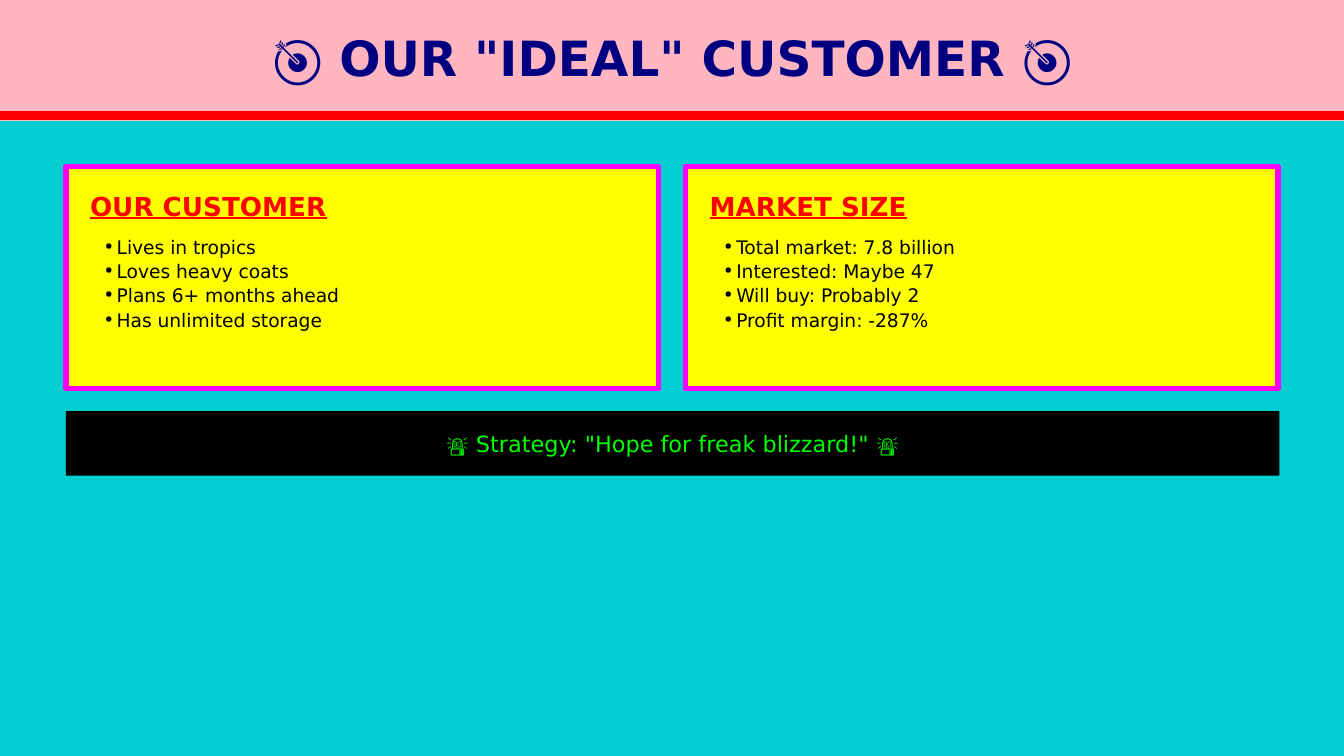
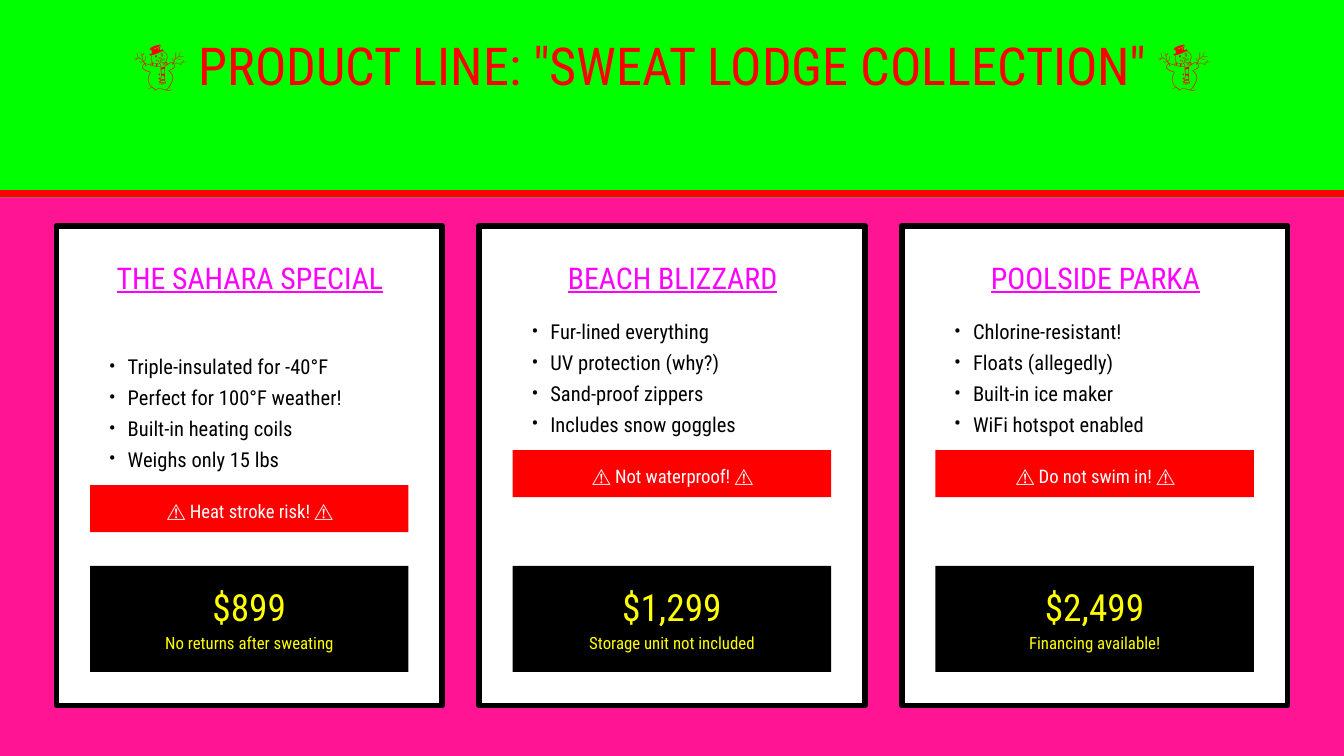
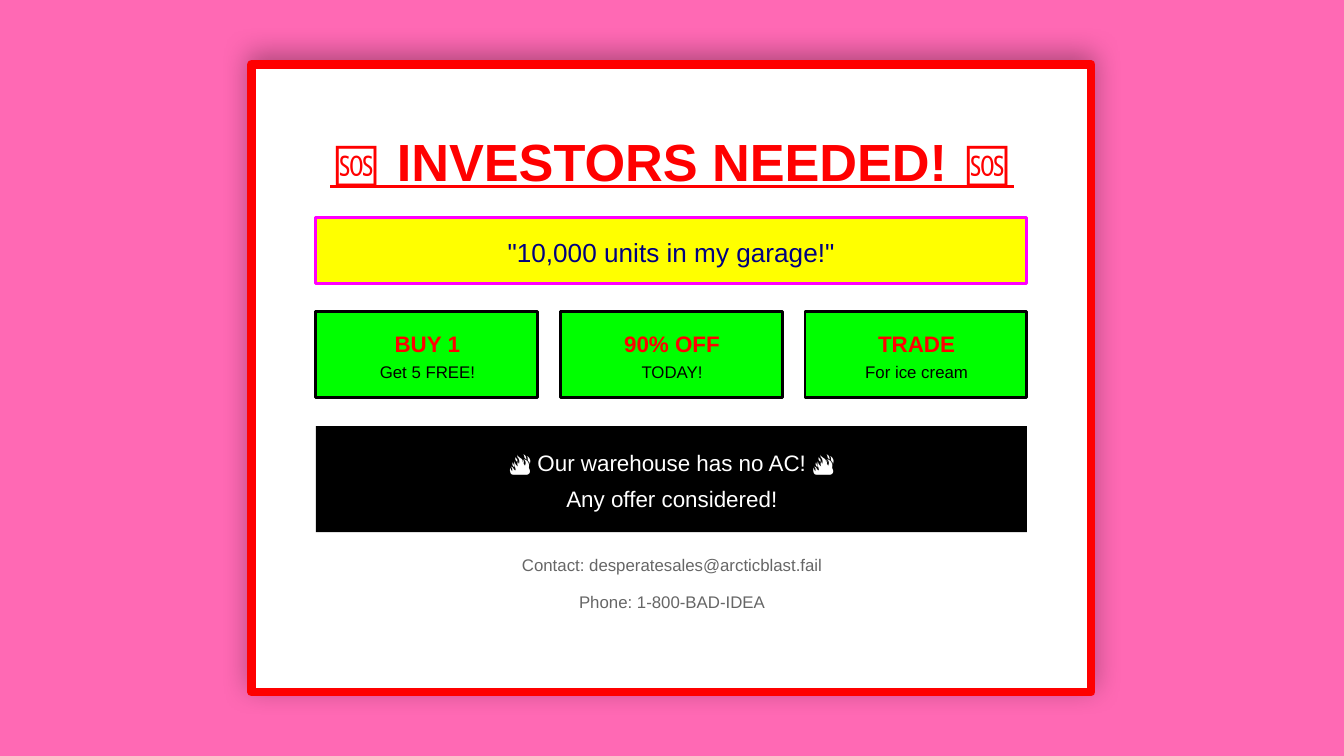
from dataclasses import dataclass

from lxml import etree
from pptx import Presentation
from pptx.dml.color import RGBColor
from pptx.enum import shapes, text
from pptx.oxml import ns
from pptx.util import Inches, Pt


@dataclass(frozen=True)
class Theme:
    red: str = "FF0000"
    lime: str = "00FF00"
    yellow: str = "FFFF00"
    magenta: str = "FF00FF"
    navy: str = "000080"
    black: str = "000000"
    white: str = "FFFFFF"
    gray: str = "666666"
    cyan: str = "00CED1"
    blush: str = "FFB6C1"
    deep: str = "FF1493"
    pink: str = "FF69B4"
    wide: str = "DejaVu Sans"
    slim: str = "Roboto Condensed"
    plain: str = "Arial"
    banner: int = 28
    title: int = 26
    price: int = 20
    name: int = 16
    head: int = 14
    note: int = 12
    item: int = 11
    body: int = 10
    small: int = 9


T = Theme()


def box(slide, x, y, w, h, fill, line=None, weight=0):
    shape = slide.shapes.add_shape(
        shapes.MSO_SHAPE.RECTANGLE, Inches(x), Inches(y), Inches(w), Inches(h))
    shape.shadow.inherit = False
    shape.fill.solid()
    shape.fill.fore_color.rgb = RGBColor.from_string(fill)
    if line:
        shape.line.color.rgb = RGBColor.from_string(line)
        shape.line.width = Pt(weight)
    else:
        shape.line.fill.background()
    return shape


def label(slide, x, y, w, h, lines, font, size, color, bold=False, under=False,
          center=True, lead=None, before=0, after=0, indent=0, title=False):
    """Write lines in a text box or the title; an indent makes them bullets."""
    if title:
        shape = slide.shapes.title
        slide.shapes.element.append(shape.element)  # bring to front
        shape.left, shape.top, shape.width, shape.height = map(Inches, (x, y, w, h))
    else:
        shape = slide.shapes.add_textbox(Inches(x), Inches(y), Inches(w), Inches(h))
    frame = shape.text_frame
    frame.text = lines
    frame.word_wrap = True
    frame.auto_size = text.MSO_AUTO_SIZE.NONE
    frame.vertical_anchor = text.MSO_ANCHOR.TOP
    frame.margin_left = Inches(indent)
    frame.margin_top = frame.margin_right = frame.margin_bottom = 0
    for par in frame.paragraphs:
        par.alignment = text.PP_ALIGN.CENTER if center else text.PP_ALIGN.LEFT
        par.space_before, par.space_after = Pt(before), Pt(after)
        if lead:
            par.line_spacing = Pt(lead)
        if indent:
            props = par._p.get_or_add_pPr()
            props.set("marL", str(Inches(indent)))
            props.set("indent", str(-Inches(indent)))
            etree.SubElement(props, ns.qn("a:buSzPct"), val="100000")
            etree.SubElement(props, ns.qn("a:buFont"), typeface=font)
            etree.SubElement(props, ns.qn("a:buChar"), char="•")
        for run in par.runs:
            run.font.name = font
            run.font.size = Pt(size)
            run.font.bold = bold
            run.font.underline = under
            run.font.color.rgb = RGBColor.from_string(color)


deck = Presentation()
deck.slide_width = Inches(10)
deck.slide_height = deck.slide_width * 9 // 16

pages = []
for back in (T.cyan, T.deep, T.pink):
    page = deck.slides.add_slide(deck.slide_layouts[5])
    page.background.fill.solid()
    page.background.fill.fore_color.rgb = RGBColor.from_string(back)
    pages.append(page)
buyer, goods, plea = pages

# Bands across the top, each with a rule near its lower edge
for page, tall, fill, rule, weight in (
        (buyer, 0.9, T.blush, 0.86, 4.5), (goods, 1.47, T.lime, 1.44, 3.75)):
    box(page, 0, 0, 10, tall, fill)
    line = page.shapes.add_connector(
        shapes.MSO_CONNECTOR.STRAIGHT, 0, Inches(rule), Inches(10), Inches(rule))
    line.line.color.rgb = RGBColor.from_string(T.red)
    line.line.width = Pt(weight)
    etree.SubElement(line.element.spPr, ns.qn("a:effectLst"))

# Ideal customer
label(buyer, 0.47, 0.21, 9.07, 0.42, '🎯 OUR "IDEAL" CUSTOMER 🎯',
      T.wide, T.title, T.navy, bold=True, title=True)
panels = (
    ("OUR CUSTOMER", "Lives in tropics\nLoves heavy coats\n"
     "Plans 6+ months ahead\nHas unlimited storage"),
    ("MARKET SIZE", "Total market: 7.8 billion\nInterested: Maybe 47\n"
     "Will buy: Probably 2\nProfit margin: -287%"),
)
for i, (head, facts) in enumerate(panels):
    x = 0.49 + 4.61 * i
    box(buyer, x, 1.24, 4.41, 1.65, T.yellow, T.magenta, 3)
    label(buyer, x + 0.18, 1.42, 4.13, 0.23, head, T.wide, T.head, T.red,
          bold=True, under=True, center=False, after=6)
    label(buyer, x + 0.18, 1.74, 4.05, 0.72, facts, T.wide, T.body, T.black,
          center=False, lead=13, indent=0.1)
box(buyer, 0.49, 3.06, 9.03, 0.48, T.black)
label(buyer, 0.54, 3.2, 8.93, 0.2, '🚨 Strategy: "Hope for freak blizzard!" 🚨',
      T.wide, T.note, T.lime)

# Product line
label(goods, 0.47, 0.25, 9.07, 0.92, '☃️ PRODUCT LINE: "SWEAT LODGE COLLECTION" ☃️',
      T.slim, T.banner, T.red, title=True)
coats = (
    ("THE SAHARA SPECIAL", "Triple-insulated for -40°F\nPerfect for 100°F weather!\n"
     "Built-in heating coils\nWeighs only 15 lbs",
     "Heat stroke risk!", "$899", "No returns after sweating", 0.26),
    ("BEACH BLIZZARD", "Fur-lined everything\nUV protection (why?)\n"
     "Sand-proof zippers\nIncludes snow goggles",
     "Not waterproof!", "$1,299", "Storage unit not included", 0),
    ("POOLSIDE PARKA", "Chlorine-resistant!\nFloats (allegedly)\n"
     "Built-in ice maker\nWiFi hotspot enabled",
     "Do not swim in!", "$2,499", "Financing available!", 0),
)
edge, wide = 0.42, 2.87
step = (10 - 2 * edge - wide) / 2
for i, (name, facts, risk, price, terms, drop) in enumerate(coats):
    x = edge + step * i
    box(goods, x, 1.68, wide, 3.57, T.white, T.black, 3)
    label(goods, x + 0.23, 1.93, 2.42, 0.26 + drop, name,
          T.slim, T.name, T.magenta, under=True, after=10)
    label(goods, x + 0.25, 2.33 + drop, 2.37, 0.92, facts, T.slim, T.item, T.black,
          center=False, lead=16.5, indent=0.14)
    box(goods, x + 0.25, 3.35 + drop, 2.37, 0.35, T.red)
    label(goods, x + 0.3, 3.42 + drop, 2.28, 0.21, f"⚠️ {risk} ⚠️",
          T.slim, T.body, T.white, lead=15)
    box(goods, x + 0.25, 4.21, 2.37, 0.79, T.black)
    label(goods, x + 0.37, 4.35, 2.13, 0.32, price, T.slim, T.price, T.yellow)
    label(goods, x + 0.37, 4.71, 2.13, 0.15, terms, T.slim, T.small, T.yellow,
          before=3)

# Investors needed
card = box(plea, 1.87, 0.48, 6.25, 4.67, T.white, T.red, 4.5)
glow = etree.SubElement(card.element.spPr.find(ns.qn("a:effectLst")),
                        ns.qn("a:outerShdw"), blurRad=str(Pt(15)), dist=str(Pt(4)),
                        dir="16200000", algn="ctr", rotWithShape="0")
tint = etree.SubElement(glow, ns.qn("a:srgbClr"), val=T.black)
etree.SubElement(tint, ns.qn("a:alpha"), val="30000")
label(plea, 2.3, 0.96, 5.4, 0.46, "🆘 INVESTORS NEEDED! 🆘",
      T.plain, T.banner, T.red, bold=True, under=True, after=15, title=True)
box(plea, 2.35, 1.62, 5.29, 0.49, T.yellow, T.magenta, 1.5)
label(plea, 2.43, 1.76, 5.13, 0.23, '"10,000 units in my garage!"',
      T.plain, T.head, T.navy)

deals = (("BUY 1", "Get 5 FREE!"), ("90% OFF", "TODAY!"), ("TRADE", "For ice cream"))
for i, (deal, more) in enumerate(deals):
    x = 2.35 + 1.82 * i
    box(plea, x, 2.32, 1.65, 0.64, T.lime, T.black, 1.5)
    label(plea, x + 0.12, 2.46, 1.42, 0.19, deal, T.plain, T.note, T.red,
          bold=True, after=3)
    label(plea, x + 0.12, 2.69, 1.42, 0.15, more, T.plain, T.small, T.black)

box(plea, 2.35, 3.17, 5.29, 0.79, T.black)
for y, words, before in ((3.34, "🔥 Our warehouse has no AC! 🔥", 0),
                         (3.61, "Any offer considered!", 5)):
    label(plea, 2.47, y, 5.06, 0.2, words, T.plain, T.note, T.white, before=before)
for y, words, before in ((4.13, "Contact: desperatesales@arcticblast.fail", 12),
                         (4.4, "Phone: 1-800-BAD-IDEA", 3)):
    label(plea, 2.3, y, 5.4, 0.15, words, T.plain, T.small, T.gray,
          before=before, after=9)

deck.save("out.pptx")
